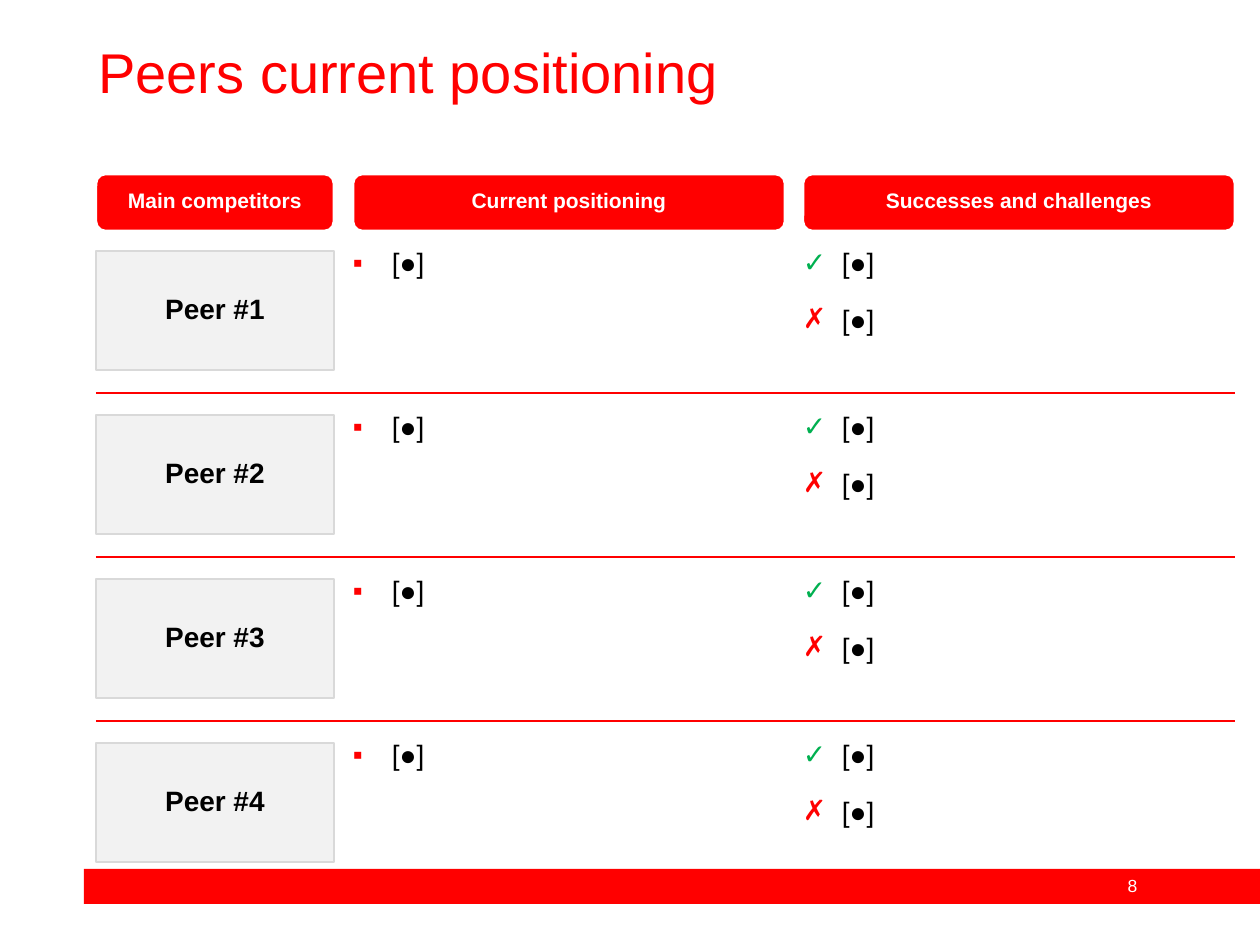
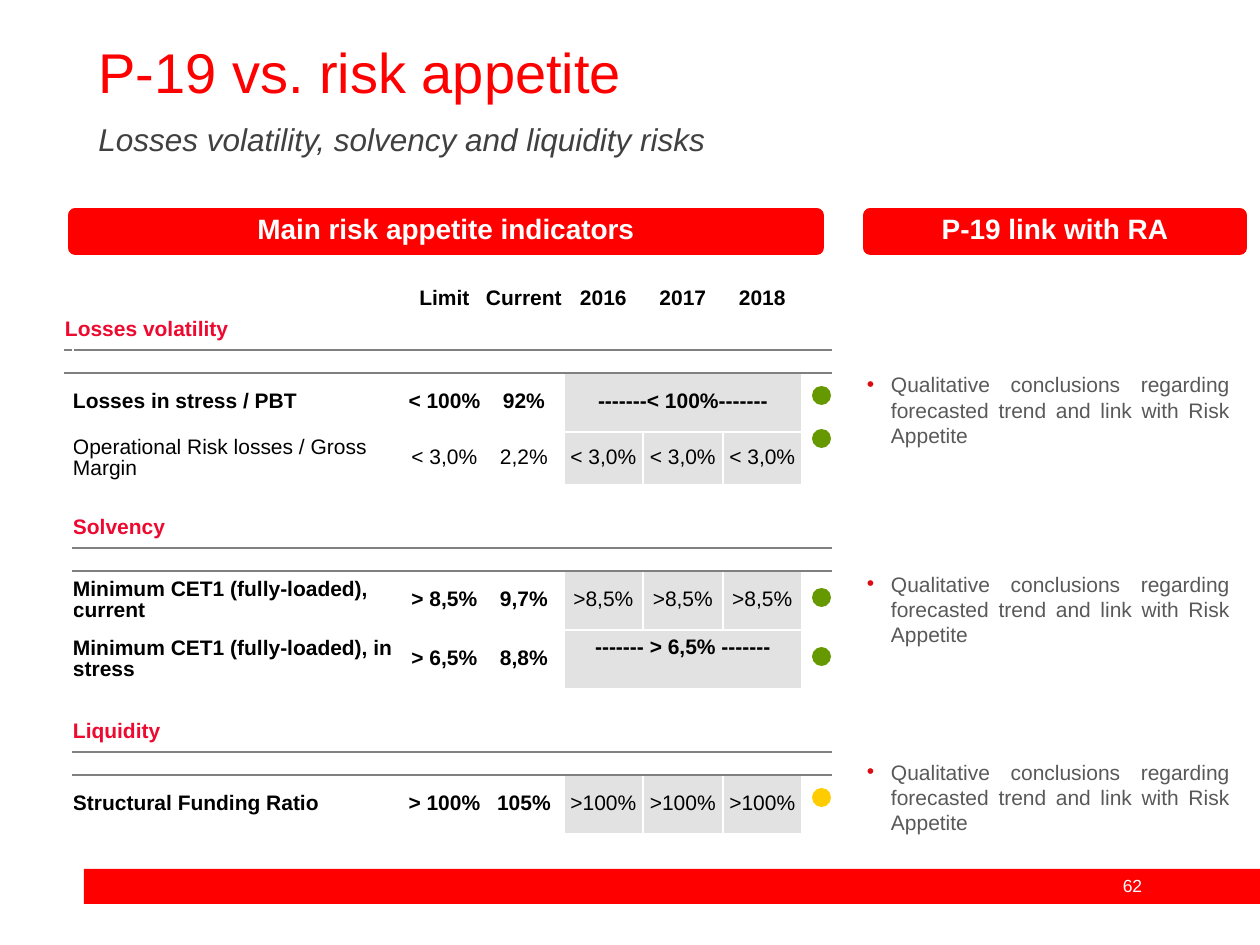
from dataclasses import dataclass
from typing import Optional

from lxml import etree
from pptx import Presentation
from pptx import util as u
from pptx.dml.color import RGBColor
from pptx.enum import shapes, text
from pptx.oxml.ns import qn

PX = 914400 / 126  # EMU in one px
FONT = "Arial"
COLORS = {
    "red": "FF0000", "white": "FFFFFF", "black": "000000", "panel": "F2F2F2",
    "panel_edge": "D9D9D9", "tick": "00B050", "section": "ED092F",
    "rule": "808080", "forecast": "E3E2E2", "green": "669900",
    "amber": "FFCC00", "bullet": "DB0B11", "note": "595959", "subtitle": "404040",
}
ALIGN = text.PP_ALIGN
SHAPE = shapes.MSO_SHAPE


@dataclass(frozen=True)
class Box:
    left: int
    top: int
    width: int
    height: int

    def emu(self) -> list:
        return [px(n) for n in (self.left, self.top, self.width, self.height)]


@dataclass(frozen=True)
class Style:
    size: int
    color: str = "black"
    bold: bool = False
    italic: bool = False
    align: ALIGN = ALIGN.LEFT
    spacing: object = 1.0


@dataclass(frozen=True)
class Bullet:
    mark: str
    color: str
    indent: int


@dataclass(frozen=True)
class Indicator:
    name: str
    limit: str
    current: str
    forecast: tuple  # one text spans the three years
    bold: bool = True
    forecast_bold: bool = False
    lift: int = 0  # bottom inset of the forecast


TITLE = Style(32, "red", spacing=0.9)
SUBTITLE = Style(18, "subtitle", italic=True, spacing=0.9)
PAGE_NUMBER = Style(10, "white", align=ALIGN.CENTER)
COLUMN_HEAD = Style(12, "white", True, align=ALIGN.CENTER, spacing=0.85)
BANNER = Style(16, "white", True, align=ALIGN.CENTER, spacing=u.Pt(16))
PEER = Style(16, bold=True, align=ALIGN.CENTER, spacing=0.85)
POINT = Style(16, spacing=0.85)
NOTE = Style(12, "note", align=ALIGN.JUSTIFY)


def px(length: float) -> u.Emu:
    return u.Emu(round(length * PX))


def rgb(name: str) -> RGBColor:
    return RGBColor.from_string(COLORS[name])


# ---- Text ----
def set_bullet(para, bullet: Bullet) -> None:
    props = para._p.get_or_add_pPr()
    props.set("marL", str(px(bullet.indent)))
    props.set("indent", str(-px(bullet.indent)))
    color = etree.Element(qn("a:buClr"))
    etree.SubElement(color, qn("a:srgbClr"), val=COLORS[bullet.color])
    font = etree.Element(qn("a:buFont"), typeface=FONT)
    mark = etree.Element(qn("a:buChar"), char=bullet.mark)
    position = len(props.findall(qn("a:lnSpc")) + props.findall(qn("a:spcBef")))
    for offset, part in enumerate((color, font, mark)):
        props.insert(position + offset, part)


def style_para(para, words: str, style: Style) -> None:
    para.text = words
    para.alignment = style.align
    para.line_spacing = style.spacing
    font = para.font
    font.name, font.size = FONT, u.Pt(style.size)
    font.bold, font.italic = style.bold, style.italic
    font.color.rgb = rgb(style.color)


def set_insets(target, insets: tuple) -> None:
    (target.margin_left, target.margin_top,
     target.margin_right, target.margin_bottom) = map(px, insets)


def add_text(page, box: Box, words: str, style: Style):
    frame = page.shapes.add_textbox(*box.emu()).text_frame
    frame.word_wrap = True
    style_para(frame.paragraphs[0], words, style)
    return frame


def add_points(page, box: Box, points: list, style: Style, insets: tuple, gap: int = 0) -> None:
    """points holds pairs of words and Bullet."""
    frame = page.shapes.add_textbox(*box.emu()).text_frame
    frame.word_wrap = True
    set_insets(frame, insets)
    for index, (words, bullet) in enumerate(points):
        para = frame.add_paragraph() if index else frame.paragraphs[0]
        style_para(para, words, style)
        if index:
            para.space_before = u.Pt(gap)
        set_bullet(para, bullet)


# ---- Shapes ----
def add_panel(page, kind: SHAPE, box: Box, fill: str, edge: Optional[str] = None,
              edge_width: float = 1, words: str = "", style: Optional[Style] = None):
    panel = page.shapes.add_shape(kind, *box.emu())
    panel.shadow.inherit = False
    panel.fill.solid()
    panel.fill.fore_color.rgb = rgb(fill)
    if edge:
        panel.line.color.rgb = rgb(edge)
        panel.line.width = u.Pt(edge_width)
    else:
        panel.line.fill.background()
    if style:
        frame = panel.text_frame
        frame.word_wrap = True
        frame.vertical_anchor = text.MSO_ANCHOR.MIDDLE
        set_insets(frame, (0, 0, 0, 0))
        style_para(frame.paragraphs[0], words, style)


def add_rule(page, left: int, right: int, top: int) -> None:
    rule = page.shapes.add_connector(
        shapes.MSO_CONNECTOR.STRAIGHT, px(left), px(top), px(right), px(top))
    rule.line.color.rgb = rgb("red")
    rule.line.width = u.Pt(0.75)
    etree.SubElement(rule._element.spPr, qn("a:effectLst"))


def new_page(deck, title: str, number: int):
    """Blank page with the shared footer band, page number and title."""
    page = deck.slides.add_slide(deck.slide_layouts[6])
    add_panel(page, SHAPE.RECTANGLE, Box(84, 869, 1176, 35), "red")
    add_text(page, Box(1097, 869, 71, 34), str(number), PAGE_NUMBER)
    add_text(page, Box(86, 39, 1086, 72), title, TITLE)
    return page


# ---- Peers page ----
def build_peers(deck) -> None:
    page = new_page(deck, "Peers current positioning", 8)
    columns = [(96, 238, "Main competitors"), (353, 432, "Current positioning"),
               (803, 432, "Successes and challenges")]
    for left, width, words in columns:
        add_panel(page, SHAPE.ROUNDED_RECTANGLE, Box(left, 174, width, 57),
                  "red", "white", 1.5, words, COLUMN_HEAD)

    blank = "[●]"
    position = [(blank, Bullet("▪", "red", 39))]
    results = [(blank, Bullet("✓", "tick", 39)), (blank, Bullet("✗", "red", 39))]
    first_top, pitch, height, peers = 251, 164, 119, 4
    for index in range(peers):
        top = first_top + index * pitch
        peer, current, outcome = [Box(left, top, width, height) for left, width, _ in columns]
        add_panel(page, SHAPE.RECTANGLE, peer, "panel", "panel_edge", 0.75,
                  f"Peer #{index + 1}", PEER)
        add_points(page, current, position, POINT, (0, 0, 0, 0))
        add_points(page, outcome, results, POINT, (0, 0, 0, 0), gap=16)
        if index < peers - 1:
            add_rule(page, 96, 1235, top + 142)


# ---- Risk appetite page ----
COLUMN_WIDTHS = [8, 323, 9, 79, 80, 79, 80, 79, 30]
HEAD_ROW, SECTION_ROW, GAP_ROW, SPACER_ROW = 23, 39, 23, 24
SECTIONS = [
    ("Losses volatility", [
        (59, Indicator("Losses in stress / PBT", "< 100%", "92%",
                       ("-------< 100%-------",), forecast_bold=True)),
        (53, Indicator("Operational Risk losses / Gross Margin", "< 3,0%", "2,2%",
                       ("< 3,0%",) * 3, bold=False)),
    ]),
    ("Solvency", [
        (59, Indicator("Minimum CET1 (fully-loaded), current", "> 8,5%", "9,7%",
                       (">8,5%",) * 3)),
        (59, Indicator("Minimum CET1 (fully-loaded), in stress", "> 6,5%", "8,8%",
                       ("------- > 6,5% -------",), forecast_bold=True, lift=22)),
    ]),
    ("Liquidity", [
        (59, Indicator("Structural Funding Ratio", "> 100%", "105%", (">100%",) * 3)),
    ]),
]


def fill_cell(cell, words: str, bold: bool = True, align: ALIGN = ALIGN.CENTER,
              color: str = "black") -> None:
    style_para(cell.text_frame.paragraphs[0], words, Style(12, color, bold, False, align, 0.9))


def underline(cell, side: str) -> None:
    props = cell._tc.get_or_add_tcPr()
    edge = etree.Element(qn(f"a:{side}"), w=str(u.Pt(1.5)))
    fill = etree.SubElement(edge, qn("a:solidFill"))
    etree.SubElement(fill, qn("a:srgbClr"), val=COLORS["rule"])
    props.insert(0, edge)


def add_section(grid, row: int, name: str) -> None:
    first = 0 if row == 1 else 1  # the top section starts at the table's edge
    for offset, side in enumerate(("lnB", "lnT")):
        for column in range(first, len(COLUMN_WIDTHS)):
            underline(grid.cell(row + offset, column), side)
    if first == 0:
        grid.cell(row, 0).merge(grid.cell(row, 1))
    fill_cell(grid.cell(row, first), name, True, ALIGN.LEFT, "section")


def add_indicator(grid, row: int, item: Indicator) -> None:
    fill_cell(grid.cell(row, 1), item.name, item.bold, ALIGN.LEFT)
    fill_cell(grid.cell(row, 3), item.limit, item.bold)
    fill_cell(grid.cell(row, 4), item.current, item.bold)
    for column in range(5, 8):
        cell = grid.cell(row, column)
        cell.fill.solid()
        cell.fill.fore_color.rgb = rgb("forecast")
    if len(item.forecast) == 1:
        grid.cell(row, 5).merge(grid.cell(row, 7))
    for column, words in enumerate(item.forecast, 5):
        fill_cell(grid.cell(row, column), words, item.forecast_bold)
    grid.cell(row, 5).margin_bottom = px(item.lift)


def add_indicator_table(page) -> None:
    heights = [HEAD_ROW]
    for index, (_, items) in enumerate(SECTIONS):
        heights += [SPACER_ROW] if index else []
        heights += [SECTION_ROW, GAP_ROW] + [height for height, _ in items]
    box = Box(65, 288, sum(COLUMN_WIDTHS), sum(heights))
    grid = page.shapes.add_table(len(heights), len(COLUMN_WIDTHS), *box.emu()).table
    grid.first_row = grid.horz_banding = False
    for column, width in zip(grid.columns, COLUMN_WIDTHS):
        column.width = px(width)
    for row, height in zip(grid.rows, heights):
        row.height = px(height)
    for cell in grid.iter_cells():
        cell.fill.background()
        cell.vertical_anchor = text.MSO_ANCHOR.MIDDLE
        set_insets(cell, (0, 0, 0, 0))
        # Small end mark keeps empty rows low
        etree.SubElement(cell.text_frame.paragraphs[0]._p, qn("a:endParaRPr"), sz="800")

    for column, words in enumerate(("Limit", "Current", "2016", "2017", "2018"), 3):
        fill_cell(grid.cell(0, column), words)
    row = 1
    for name, items in SECTIONS:
        add_section(grid, row, name)
        for offset, (_, item) in enumerate(items, 2):
            add_indicator(grid, row + offset, item)
        row += len(items) + 3


def build_risk_appetite(deck) -> None:
    page = new_page(deck, "P-19 vs. risk appetite", 62)
    add_text(page, Box(86, 118, 1087, 52),
             "Losses volatility, solvency and liquidity risks", SUBTITLE)
    for left, width, words in ((67, 758, "Main risk appetite indicators"),
                               (862, 386, "P-19 link with RA")):
        add_panel(page, SHAPE.ROUNDED_RECTANGLE, Box(left, 207, width, 49),
                  "red", "white", 1, words, BANNER)
    add_indicator_table(page)

    # Status lights
    for top, color in ((386, "green"), (429, "green"), (588, "green"),
                       (647, "green"), (788, "amber")):
        add_panel(page, SHAPE.OVAL, Box(812, top, 19, 19), color)

    # Conclusions, one per section
    conclusion = ("Qualitative conclusions regarding forecasted trend "
                  "and link with Risk Appetite")
    for top in (366, 565, 753):
        add_points(page, Box(862, top, 381, 105),
                   [(conclusion, Bullet("•", "bullet", 24))], NOTE, (5, 6, 13, 6))


def main() -> None:
    deck = Presentation()
    deck.slide_width, deck.slide_height = px(1260), px(945)
    build_peers(deck)
    build_risk_appetite(deck)
    deck.save("out.pptx")


if __name__ == "__main__":
    main()
